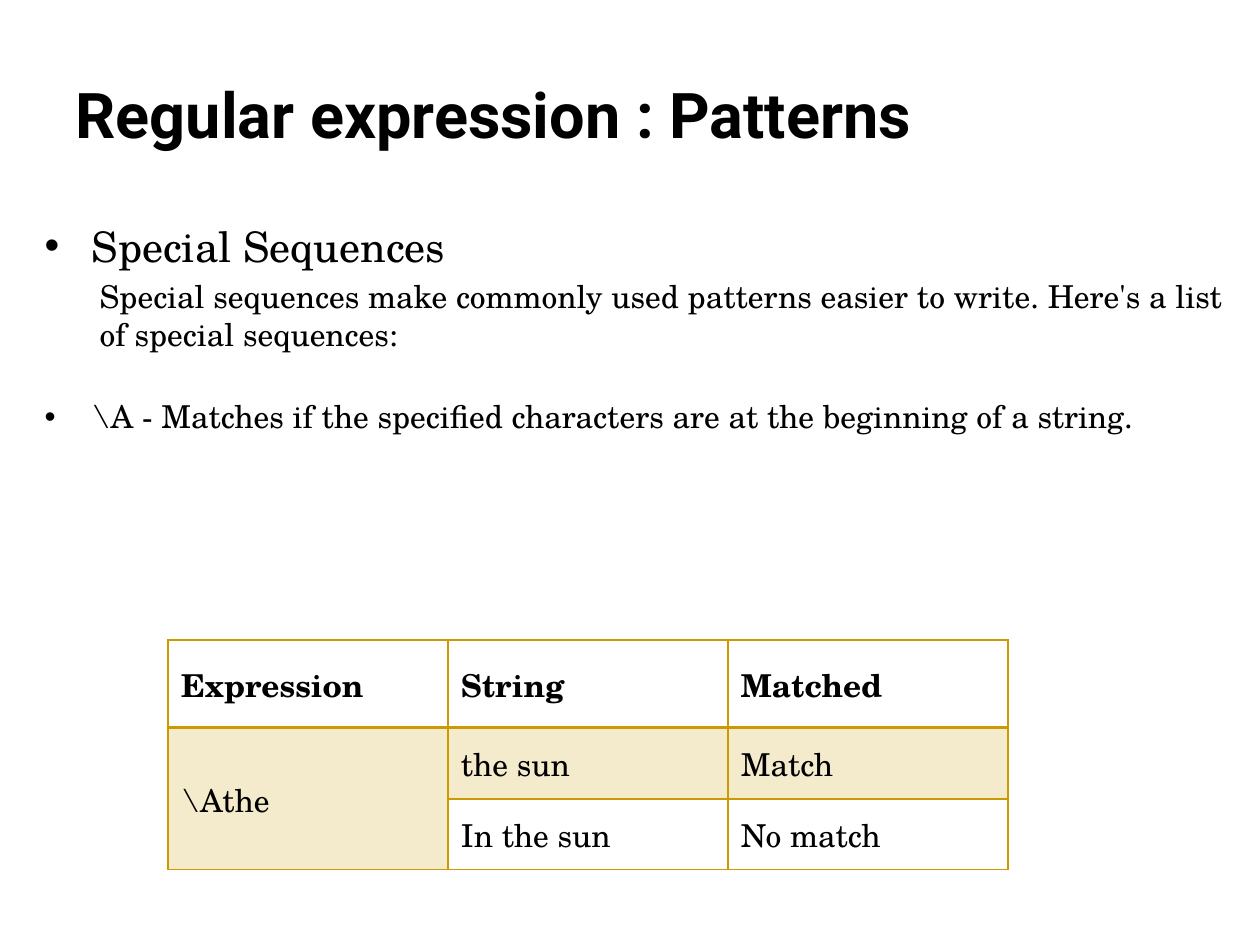
from dataclasses import dataclass

from lxml.etree import SubElement
from pptx import Presentation
from pptx.dml.color import RGBColor
from pptx.enum.text import MSO_ANCHOR, MSO_AUTO_SIZE, PP_ALIGN
from pptx.oxml.ns import qn
from pptx.util import Emu, Pt

BLACK = RGBColor(0x00, 0x00, 0x00)
WHITE = RGBColor(0xFF, 0xFF, 0xFF)
GOLD = RGBColor(0xCC, 0x99, 0x00)

TITLE_FONT = "Roboto"
BODY_FONT = "TeX Gyre Schola"
PIXELS_PER_INCH = 126


@dataclass(frozen=True)
class BodyLine:
    text: str
    size: int
    level: int = 0
    space_before: float = 0


@dataclass(frozen=True)
class TableCell:
    row: int
    column: int
    text: str
    shaded: bool = False


BODY_LINES = [
    BodyLine("Special Sequences", 24),
    BodyLine(
        "Special sequences make commonly used patterns easier to write. "
        "Here's a list of special sequences:",
        18,
        level=1,
        space_before=3.6,
    ),
    BodyLine(
        "\\A - Matches if the specified characters are at the beginning of a string.",
        18,
        space_before=25.7,
    ),
]

TABLE_CELLS = [
    TableCell(0, 0, "Expression"),
    TableCell(0, 1, "String"),
    TableCell(0, 2, "Matched"),
    TableCell(1, 0, "\\Athe", shaded=True),
    TableCell(1, 1, "the sun", shaded=True),
    TableCell(1, 2, "Match", shaded=True),
    TableCell(2, 0, "", shaded=True),
    TableCell(2, 1, "In the sun"),
    TableCell(2, 2, "No match"),
]

COLUMN_WIDTH = 280
ROW_HEIGHTS = [87, 71, 71]


def px(length: int) -> Emu:
    return Emu(round(length * 914400 / PIXELS_PER_INCH))


def place(shape, left: int, top: int, width: int, height: int) -> None:
    shape.left, shape.top = px(left), px(top)
    shape.width, shape.height = px(width), px(height)


def format_runs(paragraph, font_name: str, size: int, bold: bool = False) -> None:
    for run in paragraph.runs:
        run.font.name = font_name
        run.font.size = Pt(size)
        run.font.bold = bold
        run.font.color.rgb = BLACK


def set_bullet(paragraph, level: int) -> None:
    properties = paragraph._p.get_or_add_pPr()
    margin, indent = (px(55), 0) if level else (px(47), -px(47))
    properties.set("marL", str(margin))
    properties.set("indent", str(indent))
    if level:
        SubElement(properties, qn("a:buNone"))
        return
    color = SubElement(properties, qn("a:buClr"))
    SubElement(color, qn("a:srgbClr"), val=str(BLACK))
    SubElement(properties, qn("a:buFont"), typeface="Arial")
    SubElement(properties, qn("a:buChar"), char="•")


def write_title(title) -> None:
    place(title, 63, 10, 935, 147)
    text_frame = title.text_frame
    text_frame.text = "Regular expression : Patterns"
    text_frame.auto_size = MSO_AUTO_SIZE.NONE
    text_frame.vertical_anchor = MSO_ANCHOR.BOTTOM
    text_frame.paragraphs[0].alignment = PP_ALIGN.LEFT
    format_runs(text_frame.paragraphs[0], TITLE_FONT, 36, bold=True)


def write_body(body, lines: list[BodyLine]) -> None:
    place(body, 32, 168, 1228, 777)
    text_frame = body.text_frame
    text_frame.auto_size = MSO_AUTO_SIZE.NONE
    text_frame.margin_top = px(52)
    text_frame.text = "\n".join(line.text for line in lines)
    for paragraph, line in zip(text_frame.paragraphs, lines):
        paragraph.level = line.level
        paragraph.space_before = Pt(line.space_before)
        set_bullet(paragraph, line.level)
        format_runs(paragraph, BODY_FONT, line.size)


def add_border(cell, side: str, width: int) -> None:
    properties = cell._tc.get_or_add_tcPr()
    line = SubElement(properties, qn(f"a:ln{side}"), w=str(Pt(width)))
    fill = SubElement(line, qn("a:solidFill"))
    SubElement(fill, qn("a:srgbClr"), val=str(GOLD))


def fill_cell(cell, shaded: bool) -> None:
    cell.fill.solid()
    cell.fill.fore_color.rgb = GOLD if shaded else WHITE
    if shaded:
        color = cell._tc.tcPr.find(f"{qn('a:solidFill')}/{qn('a:srgbClr')}")
        SubElement(color, qn("a:alpha"), val="20000")


def write_cell(cell, content: TableCell) -> None:
    header = content.row == 0
    cell.text = content.text
    cell.vertical_anchor = MSO_ANCHOR.MIDDLE
    cell.margin_left, cell.margin_right = px(13), px(10)
    cell.margin_top = px(20 if header else 13)
    cell.margin_bottom = px(19 if header else 11)
    format_runs(cell.text_frame.paragraphs[0], BODY_FONT, 18, bold=header)
    for side in "LRTB":
        thick = (side == "B" and header) or (side == "T" and content.row == 1)
        add_border(cell, side, 2 if thick else 1)
    fill_cell(cell, content.shaded)


def add_pattern_table(slide, cells: list[TableCell]) -> None:
    frame = slide.shapes.add_table(
        3, 3, px(168), px(640), px(3 * COLUMN_WIDTH), px(sum(ROW_HEIGHTS))
    )
    table = frame.table
    table.first_row = False
    table.horz_banding = False
    for column in table.columns:
        column.width = px(COLUMN_WIDTH)
    for row, height in zip(table.rows, ROW_HEIGHTS):
        row.height = px(height)
    for content in cells:
        write_cell(table.cell(content.row, content.column), content)
    table.cell(1, 0).merge(table.cell(2, 0))


def main() -> None:
    presentation = Presentation()
    presentation.slide_width = px(1260)
    presentation.slide_height = px(945)
    slide = presentation.slides.add_slide(presentation.slide_layouts[1])
    write_title(slide.shapes.title)
    write_body(slide.placeholders[1], BODY_LINES)
    add_pattern_table(slide, TABLE_CELLS)
    presentation.save("out.pptx")


if __name__ == "__main__":
    main()
